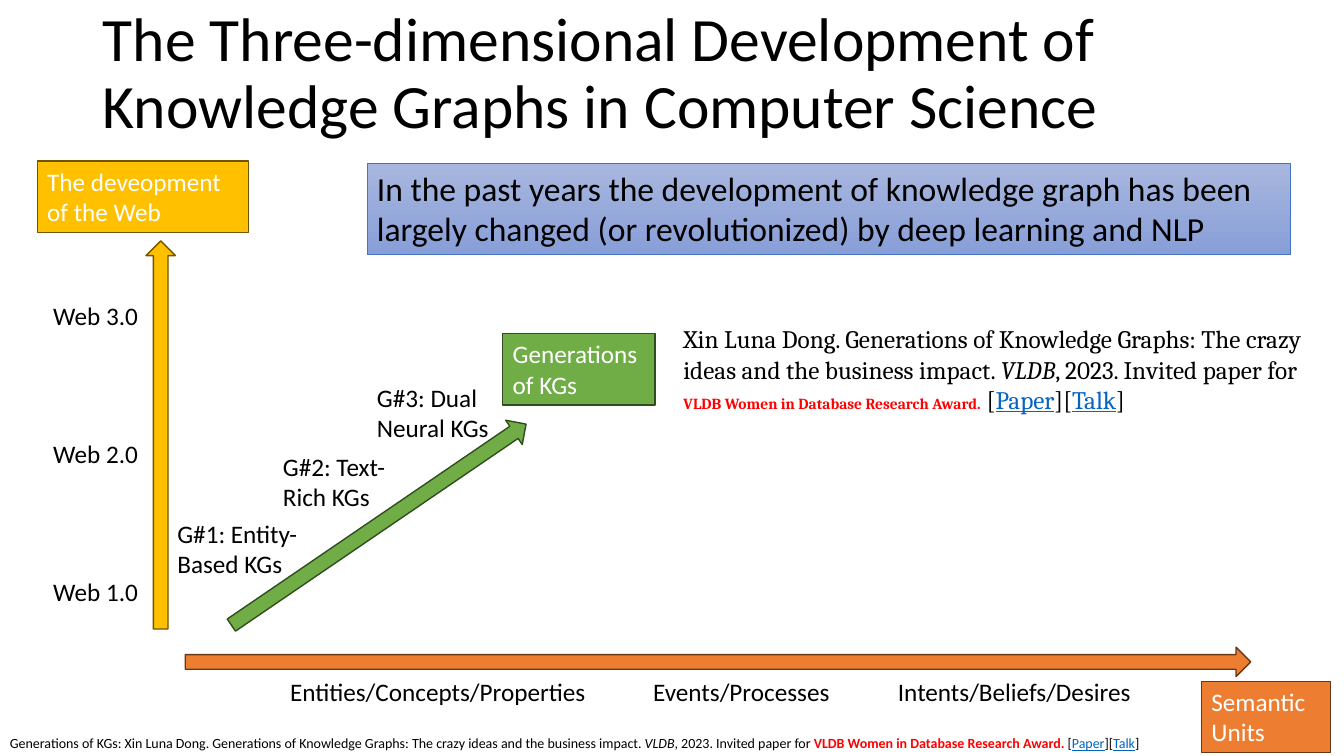
from dataclasses import dataclass
from typing import Any, Optional

import pptx
import pptx.dml.color
import pptx.enum.shapes
import pptx.enum.text
import pptx.util

Cm = pptx.util.Cm
Pt = pptx.util.Pt
RGBColor = pptx.dml.color.RGBColor
Auto = pptx.enum.text.MSO_AUTO_SIZE
Anchor = pptx.enum.text.MSO_ANCHOR
Align = pptx.enum.text.PP_ALIGN
Kind = pptx.enum.shapes.MSO_SHAPE

BLACK = RGBColor(0x00, 0x00, 0x00)
WHITE = RGBColor(0xFF, 0xFF, 0xFF)
RED = RGBColor(0xFF, 0x00, 0x00)
LINK = RGBColor(0x05, 0x63, 0xC1)
GOLD = RGBColor(0xFF, 0xC0, 0x00)
UMBER = RGBColor(0x70, 0x54, 0x00)
ORANGE = RGBColor(0xED, 0x7D, 0x31)
BROWN = RGBColor(0x68, 0x37, 0x15)
GREEN = RGBColor(0x70, 0xAD, 0x47)
MOSS = RGBColor(0x31, 0x4C, 0x1F)
BLUE = RGBColor(0x44, 0x72, 0xC4)
PALE = RGBColor(0xA8, 0xB7, 0xDF)
DEEP = RGBColor(0x88, 0x9E, 0xD7)


@dataclass(frozen=True)
class Area:
    left: float
    top: float
    width: float
    height: float

    def lengths(self) -> tuple:
        return Cm(self.left), Cm(self.top), Cm(self.width), Cm(self.height)


@dataclass(frozen=True)
class Axis:
    area: Area
    turn: float
    fill: RGBColor
    edge: RGBColor
    head: str
    box: Area


@dataclass(frozen=True)
class Label:
    text: str
    area: Area
    wrap: bool = True


@dataclass(frozen=True)
class Piece:
    text: str
    color: RGBColor = BLACK
    bold: bool = False
    slant: bool = False
    under: bool = False
    size: Optional[float] = None


AXES = [
    Axis(Area(4.67, 16.31, 26.85, 0.74), 0, ORANGE, BROWN,
         "Semantic Units", Area(30.28, 17.17, 3.25, 1.8)),
    Axis(Area(5.05, 12.85, 8.99, 0.74), 325.7, GREEN, MOSS,
         "Generations of KGs", Area(12.67, 8.41, 3.84, 1.8)),
    Axis(Area(-0.84, 10.59, 9.78, 0.74), 270, GOLD, UMBER,
         "The deveopment of the Web", Area(0.94, 4.06, 5.33, 1.8)),
]
STAGES = [
    Label("G#1: Entity-Based KGs", Area(4.22, 12.93, 4.9, 1.8)),
    Label("G#2: Text-Rich KGs", Area(6.88, 11.25, 4.14, 1.8)),
    Label("G#3: Dual Neural KGs", Area(9.25, 9.5, 3.84, 1.8)),
]
WEBS = [
    Label(f"Web {step + 1}.0", Area(1.09, 14.4 - 3.48 * step, 3.18, 1.02))
    for step in range(3)
]
UNITS = [
    Label("Entities/Concepts/Properties", Area(7.06, 16.92, 8.26, 1.02)),
    Label("Events/Processes", Area(16.21, 16.92, 5.28, 1.02)),
    Label("Intents/Beliefs/Desires", Area(22.38, 16.92, 6.43, 1.02), False),
]
BANNER = Label(
    "In the past years the development of knowledge graph has been "
    "largely changed (or revolutionized) by deep learning and NLP",
    Area(9.25, 4.11, 23.27, 2.31))


def cite(lead: str, award: float) -> list[Piece]:
    return [
        Piece(lead + "Xin Luna Dong. Generations of Knowledge Graphs: "
              "The crazy ideas and the business impact. "),
        Piece("VLDB", slant=True),
        Piece(", 2023. Invited paper for "),
        Piece("VLDB Women in Database Research Award.", RED, True, size=award),
        Piece(" ["),
        Piece("Paper", LINK, under=True),
        Piece("]["),
        Piece("Talk", LINK, under=True),
        Piece("]"),
    ]


def apply(target: Any, values: dict[str, Any]) -> None:
    for name, value in values.items():
        setattr(target, name, value)


def write(frame: Any, pieces: list[Piece], size: float = 18,
          face: str = "Calibri", wrap: bool = True) -> None:
    apply(frame, {"word_wrap": wrap, "auto_size": Auto.SHAPE_TO_FIT_TEXT,
                  "vertical_anchor": Anchor.TOP})
    para = frame.paragraphs[0]
    para.alignment = Align.LEFT
    for piece in pieces:
        run = para.add_run()
        run.text = piece.text
        apply(run.font, {"name": face, "size": Pt(piece.size or size),
                         "bold": piece.bold, "italic": piece.slant,
                         "underline": piece.under})
        run.font.color.rgb = piece.color


def block(slide: Any, kind: Any, area: Area, edge: RGBColor,
          weight: float = 1) -> Any:
    shape = slide.shapes.add_shape(kind, *area.lengths())
    shape.shadow.inherit = False
    shape.line.color.rgb = edge
    shape.line.width = Pt(weight)
    return shape


def paint(shape: Any, color: RGBColor) -> None:
    shape.fill.solid()
    shape.fill.fore_color.rgb = color


def note(slide: Any, area: Area, pieces: list[Piece], **style: Any) -> None:
    box = slide.shapes.add_textbox(*area.lengths())
    write(box.text_frame, pieces, **style)


def head(slide: Any) -> None:
    title = slide.shapes.title
    area = Area(2.34, 0.05, 29.21, 3.68).lengths()
    apply(title, dict(zip(("left", "top", "width", "height"), area)))
    frame = title.text_frame
    text = "The Three-dimensional Development of Knowledge Graphs in Computer Science"
    write(frame, [Piece(text)], 44)
    apply(frame, {"auto_size": Auto.NONE, "vertical_anchor": Anchor.MIDDLE})
    frame.paragraphs[0].line_spacing = 0.9


def banner(slide: Any) -> None:
    shape = block(slide, Kind.RECTANGLE, BANNER.area, BLUE, 0.5)
    shape.fill.gradient()
    shape.fill.gradient_angle = 270
    for stop, color in zip(shape.fill.gradient_stops, (PALE, DEEP)):
        stop.color.rgb = color
    write(shape.text_frame, [Piece(BANNER.text)], 24)


def main() -> None:
    deck = pptx.Presentation()
    deck.slide_width, deck.slide_height = Cm(33.87), Cm(19.05)
    slide = deck.slides.add_slide(deck.slide_layouts[5])
    head(slide)
    for axis in AXES:
        arrow = block(slide, Kind.RIGHT_ARROW, axis.area, axis.edge)
        arrow.rotation = axis.turn
        paint(arrow, axis.fill)
    for label in STAGES + WEBS + UNITS:
        note(slide, label.area, [Piece(label.text)], wrap=label.wrap)
    for axis in AXES:
        box = block(slide, Kind.RECTANGLE, axis.box, axis.edge)
        paint(box, axis.fill)
        write(box.text_frame, [Piece(axis.head, WHITE)])
    note(slide, Area(0, 18.39, 30.07, 0.69),
         cite("Generations of KGs: ", 10), size=10)
    note(slide, Area(16.97, 8.03, 16.94, 2.57), cite("", 11), face="Cambria")
    banner(slide)
    deck.save("out.pptx")


if __name__ == "__main__":
    main()
